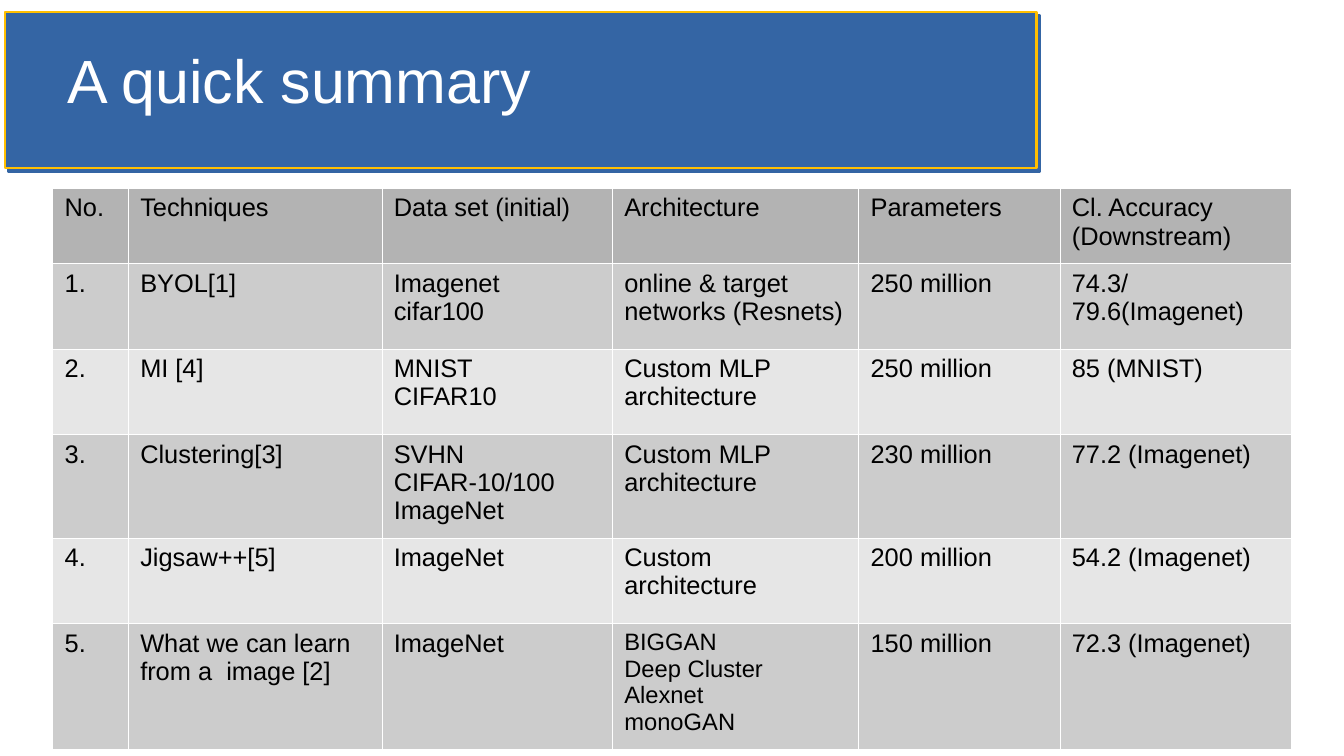
from pptx import Presentation
from pptx import util as u
from pptx.dml.color import RGBColor
from pptx.enum import shapes, text
from pptx.oxml import parse_xml
from pptx.oxml.ns import nsdecls, qn

COLUMN_SHARES = [5.63, 18.87, 17.15, 18.33, 14.97, 17.24]
ROW_SHARES = [10] + [11.29] * 5
SMALL_TEXT_CELL = (5, 3)
ROWS = [
    ["No.", "Techniques", "Data set (initial)", "Architecture",
     "Parameters", "Cl. Accuracy (Downstream)"],
    ["1.", "BYOL[1]", "Imagenet\ncifar100", "online & target networks (Resnets)",
     "250 million", "74.3/ 79.6(Imagenet)"],
    ["2.", "MI [4]", "MNIST\nCIFAR10", "Custom MLP architecture",
     "250 million", "85 (MNIST)"],
    ["3.", "Clustering[3]", "SVHN\nCIFAR-10/100\nImageNet", "Custom MLP architecture",
     "230 million", "77.2 (Imagenet)"],
    ["4.", "Jigsaw++[5]", "ImageNet", "Custom architecture",
     "200 million", "54.2 (Imagenet)"],
    ["5.", "What we can learn from a  image [2]", "ImageNet",
     "BIGGAN\nDeep Cluster\nAlexnet\nmonoGAN", "150 million", "72.3 (Imagenet)"],
]


def color(hex_code):
    return RGBColor.from_string(hex_code)


class SlideBuilder:
    """Places styled elements; all lengths are percentages of the slide size."""

    font = "Arial"
    blue, gold, white, black = "3465A4", "FFBF00", "FFFFFF", "000000"
    header_gray, bands = "B3B3B3", ("CCCCCC", "E6E6E6")

    def __init__(self, presentation):
        self.width = presentation.slide_width
        self.height = presentation.slide_height
        self.slide = presentation.slides.add_slide(presentation.slide_layouts[6])

    def across(self, share):
        return round(self.width * share / 100)

    def down(self, share):
        return round(self.height * share / 100)

    def box(self, left, top, width, height):
        return self.across(left), self.down(top), self.across(width), self.down(height)

    def add_lines(self, frame, content, size, hex_code):
        """Adds one paragraph for each line of the content."""
        for index, line in enumerate(content.split("\n")):
            paragraph = frame.add_paragraph() if index else frame.paragraphs[0]
            run = paragraph.add_run()
            run.text = line
            run.font.name = self.font
            run.font.size = u.Pt(size)
            run.font.color.rgb = color(hex_code)

    def banner(self, *place):
        shape = self.slide.shapes.add_shape(
            shapes.MSO_SHAPE.RECTANGLE, *self.box(*place))
        shape.fill.solid()
        shape.fill.fore_color.rgb = color(self.blue)
        shape.line.color.rgb = color(self.gold)
        shape.line.width = u.Pt(1.42)
        shape.shadow.inherit = False
        effects = shape._element.spPr.find(qn("a:effectLst"))
        effects.append(parse_xml(
            f'<a:outerShdw {nsdecls("a")} blurRad="0" dist="{u.Pt(2.8)}" '
            f'dir="{45 * 60000}" algn="tl" rotWithShape="0">'
            f'<a:srgbClr val="{self.blue}"/></a:outerShdw>'))

    def title(self, content, *place):
        frame = self.slide.shapes.add_textbox(*self.box(*place)).text_frame
        frame.word_wrap = True
        frame.vertical_anchor = text.MSO_ANCHOR.MIDDLE
        frame.margin_left = frame.margin_right = 0
        frame.margin_top = frame.margin_bottom = 0
        self.add_lines(frame, content, 36, self.white)

    def cell_borders(self, cell):
        properties = cell._tc.get_or_add_tcPr()
        for side in ("lnL", "lnR", "lnT", "lnB"):
            properties.append(parse_xml(
                f'<a:{side} {nsdecls("a")} w="{u.Pt(0.06)}"><a:solidFill>'
                f'<a:srgbClr val="{self.white}"/></a:solidFill></a:{side}>'))

    def table(self, rows, left, top, column_shares, row_shares):
        table = self.slide.shapes.add_table(
            len(rows), len(column_shares),
            *self.box(left, top, sum(column_shares), sum(row_shares))).table
        table.first_row = table.horz_banding = False
        for column, share in zip(table.columns, column_shares):
            column.width = self.across(share)
        for row, share in zip(table.rows, row_shares):
            row.height = self.down(share)
        for i, contents in enumerate(rows):
            fill = self.bands[(i - 1) % 2] if i else self.header_gray
            for j, content in enumerate(contents):
                cell = table.cell(i, j)
                self.cell_borders(cell)
                cell.fill.solid()
                cell.fill.fore_color.rgb = color(fill)
                size = 14 if (i, j) == SMALL_TEXT_CELL else 15
                self.add_lines(cell.text_frame, content, size, self.black)


def main():
    presentation = Presentation()
    presentation.slide_width = u.Inches(11.02)
    presentation.slide_height = u.Inches(6.2)
    builder = SlideBuilder(presentation)
    builder.banner(0.36, 1.61, 76.77, 20.65)
    builder.title("A quick summary", 5, 4.84, 69.7, 11.3)
    builder.table(ROWS, 3.9, 24.84, COLUMN_SHARES, ROW_SHARES)
    presentation.save("out.pptx")


if __name__ == "__main__":
    main()
